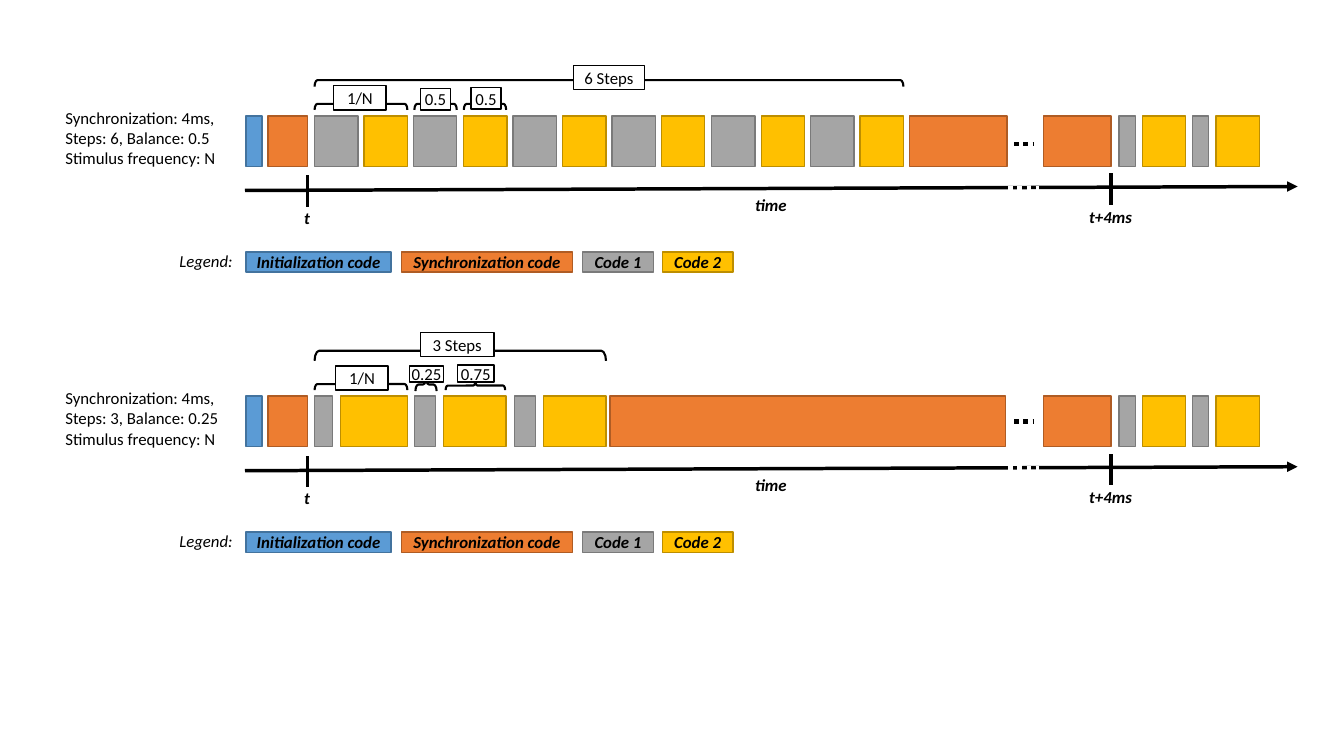
from pptx import Presentation
from pptx.dml.color import RGBColor
from pptx.enum.dml import MSO_LINE
from pptx.enum.shapes import MSO_CONNECTOR, MSO_SHAPE
from pptx.enum.text import MSO_ANCHOR, PP_ALIGN
from pptx.oxml.ns import qn
from pptx.util import Pt
from lxml import etree

PX = 9144  # 100 px to the inch
COLORS = {
    "black": "000000", "white": "FFFFFF",
    "init": "5B9BD5", "init_edge": "43739E",
    "sync": "ED7D31", "sync_edge": "AF5C24",
    "code1": "A5A5A5", "code1_edge": "7A7A7A",
    "code2": "FFC000", "code2_edge": "BD8E00",
}

presentation = Presentation()
presentation.slide_width = 1333 * PX
presentation.slide_height = 750 * PX
slide = presentation.slides.add_slide(presentation.slide_layouts[6])


def color(name):
    return RGBColor.from_string(COLORS[name])


def add_text(text, left, top, width, height, fill=None, edge=None, bold=False,
             italic=False, align=PP_ALIGN.CENTER, anchor=MSO_ANCHOR.MIDDLE):
    """Add a filled box, or a plain text box when no fill is given."""
    place = [length * PX for length in (left, top, width, height)]
    if fill:
        shape = slide.shapes.add_shape(MSO_SHAPE.RECTANGLE, *place)
        shape.shadow.inherit = False
        shape.fill.solid()
        shape.fill.fore_color.rgb = color(fill)
        shape.line.color.rgb = color(edge)
        shape.line.width = Pt(1)
    else:
        shape = slide.shapes.add_textbox(*place)
    if not text:
        return
    frame = shape.text_frame
    frame.word_wrap = True
    frame.vertical_anchor = anchor
    if fill:
        frame.margin_left = frame.margin_right = 0
        frame.margin_top = frame.margin_bottom = 0
    frame.text = text
    for paragraph in frame.paragraphs:
        paragraph.alignment = align
        font = paragraph.runs[0].font
        font.name = "Calibri"
        font.size = Pt(12)
        font.bold = bold
        font.italic = italic
        font.color.rgb = color("black")


def add_line(x1, y1, x2, y2, weight=2.5, ink="black", dotted=False, arrow=False):
    line = slide.shapes.add_connector(
        MSO_CONNECTOR.STRAIGHT, x1 * PX, y1 * PX, x2 * PX, y2 * PX)
    line.line.color.rgb = color(ink)
    line.line.width = Pt(weight)
    properties = line.element.spPr
    if dotted:
        line.line.dash_style = MSO_LINE.ROUND_DOT
    if arrow:
        etree.SubElement(properties.find(qn("a:ln")), qn("a:tailEnd"), type="triangle")
    etree.SubElement(properties, qn("a:effectLst"))


# Vertical positions are measured from the top of each timeline.
# steps: kind, left, width; braces: left, top, span, depth;
# tags: text, left, top, width, height
step_kinds = ("code1", "code2")
timelines = [
    {
        "top": 0,
        "description": "Synchronization: 4ms, Steps: 6, Balance: 0.5\nStimulus frequency: N",
        "steps": [(step_kinds[i % 2], round(312 + 49.2 * i), 43) for i in range(12)]
        + [("sync", 902, 97)],
        "braces": [(312, 97, 92, 12), (312, 73, 584, 13),
                   (411, 97, 42, 12), (460, 97, 42, 12)],
        "tags": [("6 Steps", 569, 65, 70, 24), ("1/N", 331, 85, 52, 24),
                 ("0.5", 417, 88, 30, 21), ("0.5", 467, 87, 30, 21)],
        "ellipsis": 143,
    },
    {
        "top": 278,
        "description": "Synchronization: 4ms, Steps: 3, Balance: 0.25\nStimulus frequency: N",
        "steps": [("code1", 312, 18), ("code2", 338, 66),
                  ("code1", 411, 21), ("code2", 440, 62),
                  ("code1", 510, 21), ("code2", 539, 62), ("sync", 605, 392)],
        "braces": [(312, 97, 92, 12), (312, 60, 289, 20),
                   (412, 97, 21, 13), (442, 100, 59, 9)],
        "tags": [("3 Steps", 417, 52, 73, 24), ("1/N", 333, 85, 52, 24),
                 ("0.25", 406, 85, 34, 16), ("0.75", 454, 84, 36, 17)],
        "ellipsis": 140,
    },
]
first_blocks = [("init", 244, 16), ("sync", 266, 39)]
last_blocks = [("sync", 1035, 67), ("code1", 1110, 16), ("code2", 1133, 43),
               ("code1", 1183, 16), ("code2", 1206, 43)]
axis_labels = [("time", 724, 188), ("t", 264, 201), ("t+4ms", 1061, 200)]
legend = [("Initialization code", "init", 244, 144), ("Synchronization code", "sync", 398, 170),
          ("Code 1", "code1", 578, 70), ("Code 2", "code2", 657, 70)]

for timeline in timelines:
    top = timeline["top"]

    for kind, left, width in first_blocks + timeline["steps"] + last_blocks:
        add_text("", left, top + 115, width, 50, fill=kind, edge=kind + "_edge")
    dots = top + timeline["ellipsis"]
    add_line(1006, dots, 1026, dots, weight=3.25, dotted=True)
    add_text(timeline["description"], 55, top + 102, 177, 71,
             align=PP_ALIGN.LEFT, anchor=MSO_ANCHOR.TOP)

    for left, brace_top, span, depth in timeline["braces"]:
        # The frame is upright before its quarter turn about the centre.
        shift = (span - depth) / 2
        brace = slide.shapes.add_shape(
            MSO_SHAPE.LEFT_BRACE, int((left + shift) * PX),
            int((top + brace_top - shift) * PX), depth * PX, span * PX)
        brace.rotation = 90
        brace.adjustments[0] = 0.23
        brace.adjustments[1] = 0.5
        brace.shadow.inherit = False
        brace.fill.background()
        brace.line.color.rgb = color("black")
        brace.line.width = Pt(1.5)
    for text, left, tag_top, width, height in timeline["tags"]:
        add_text(text, left, top + tag_top, width, height, fill="white", edge="black")

    add_line(243, top + 189, 1287, top + 185, arrow=True)
    for x, tick_top in [(305, 174), (1102, 172)]:
        add_line(x, top + tick_top + 31, x, top + tick_top)
    for text, left, label_top in axis_labels:
        add_text(text, left, top + label_top, 81, 30, bold=True, italic=True,
                 anchor=MSO_ANCHOR.TOP)
    add_line(1000, top + 187, 1031, top + 187, weight=3.25, ink="white", dotted=True)

    add_text("Legend:", 168, top + 244, 76, 30, italic=True,
             align=PP_ALIGN.LEFT, anchor=MSO_ANCHOR.TOP)
    for text, kind, left, width in legend:
        add_text(text, left, top + 250, width, 20, fill=kind, edge=kind + "_edge",
                 bold=True, italic=True)

presentation.save("out.pptx")
